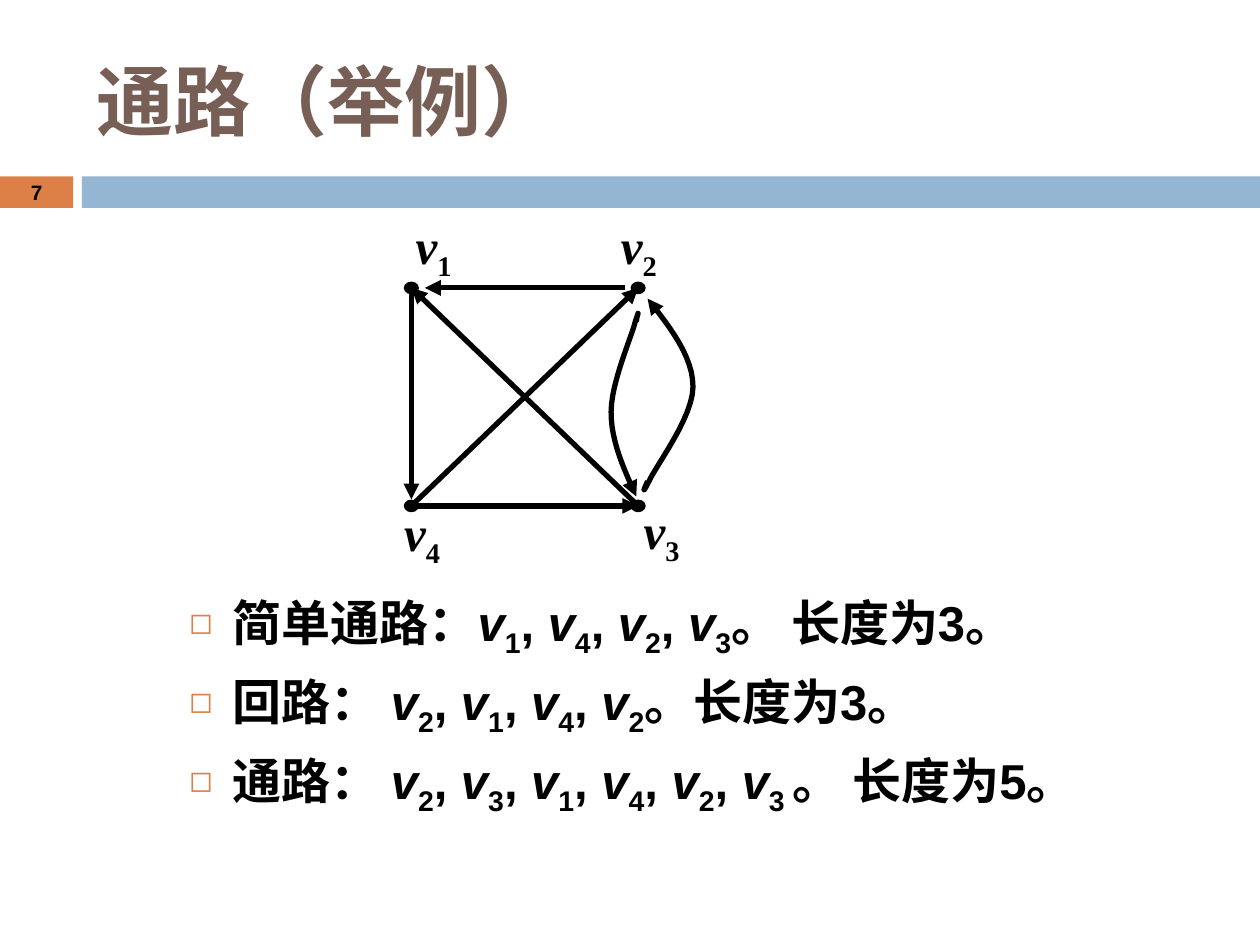
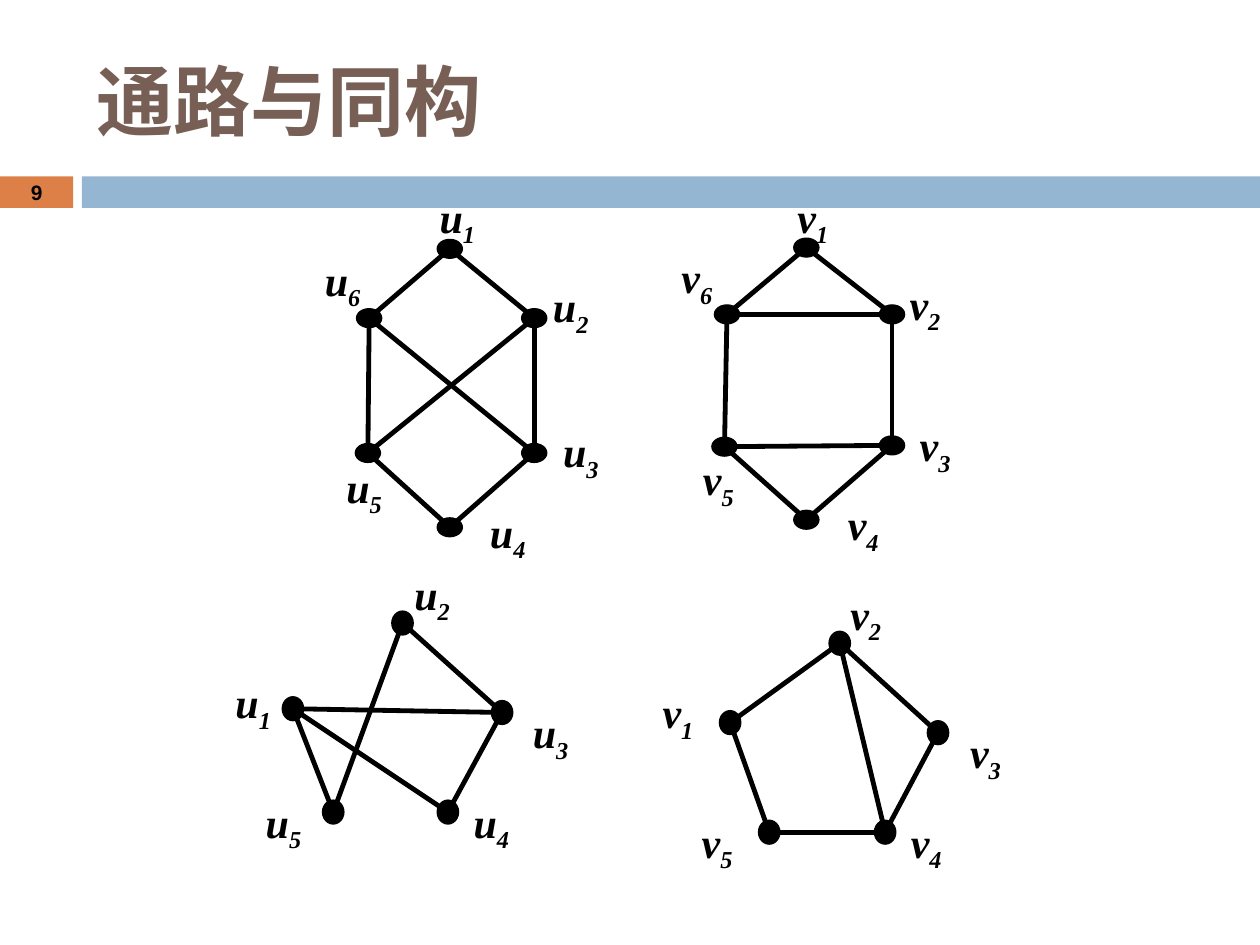
from pptx import Presentation
from pptx.dml.color import RGBColor
from pptx.enum.shapes import MSO_CONNECTOR, MSO_SHAPE
from pptx.enum.text import MSO_ANCHOR, PP_ALIGN
from pptx.oxml.ns import qn
from pptx.util import Inches, Pt
from lxml import etree

ORANGE = RGBColor(0xDD, 0x80, 0x47)
BLUE = RGBColor(0x94, 0xB6, 0xD2)
BROWN = RGBColor(0x77, 0x5F, 0x55)
BLACK = RGBColor(0, 0, 0)
SERIF, SANS, HEADING = "Times New Roman", "Arial", "Calibri"

prs = Presentation()
prs.slide_width, prs.slide_height = Inches(10), Inches(7.5)

# Grid: 100 columns by 75 rows
COL = prs.slide_width / 100
ROW = prs.slide_height / 75


def add_box(s, x, y, w, h, anchor=MSO_ANCHOR.TOP):
    box = s.shapes.add_textbox(int(x * COL), int(y * ROW), int(w * COL), int(h * ROW))
    tf = box.text_frame
    tf.word_wrap = True
    tf.vertical_anchor = anchor
    return tf


def add_run(p, text, size, font, color=BLACK, italic=False, sub=False):
    r = p.add_run()
    r.text = text
    r.font.size, r.font.name = Pt(size), font
    r.font.bold, r.font.italic = True, italic
    r.font.color.rgb = color
    if sub:
        r._r.get_or_add_rPr().set("baseline", "-25000")


# Shared frame: bands, page number, title
slides = []
for number, title in (("7", "通路（举例）"), ("9", "通路与同构")):
    s = prs.slides.add_slide(prs.slide_layouts[6])
    slides.append(s)
    for x, w, color in ((0, 5.8, ORANGE), (6.5, 93.5, BLUE)):
        band = s.shapes.add_shape(MSO_SHAPE.RECTANGLE, int(x * COL), int(14 * ROW),
                                  int(w * COL), int(2.5 * ROW))
        band.shadow.inherit = False
        band.fill.solid()
        band.fill.fore_color.rgb = color
        band.line.fill.background()
    p = add_box(s, 0, 13.9, 5.8, 2.7, MSO_ANCHOR.MIDDLE).paragraphs[0]
    p.alignment = PP_ALIGN.CENTER
    add_run(p, number, 11.9, SANS)
    p = add_box(s, 6.7, 2.5, 89.2, 10.8, MSO_ANCHOR.MIDDLE).paragraphs[0]
    add_run(p, title, 44, HEADING, BROWN)

# Graphs: each vertex is (centre x, centre y, label x, label y)
directed = dict(
    slide=slides[0], letter="v", dot=(1.1, 0.9), size=28, width=3, arrow=True,
    vertices={"1": (32.65, 22.85, 32, 16.6), "2": (50.65, 22.85, 48.3, 16.6),
              "3": (50.65, 40.15, 50.1, 39.2), "4": (32.65, 40.15, 31.1, 39.4)},
    edges="21 31 42 14 43", trim={"21": 0.06, "14": 0.03})
crossed = dict(
    slide=slides[1], letter="u", dot=(2, 1.5), size=24, width=2.75, arrow=False,
    vertices={"1": (35.7, 19.75, 33.9, 14.7), "2": (42.4, 25.25, 42.9, 21.8),
              "3": (42.4, 35.95, 43.7, 33.3), "4": (35.7, 41.85, 37.9, 39.7),
              "5": (29.2, 35.95, 26.5, 36.1), "6": (29.3, 25.25, 24.8, 19.7)},
    edges="16 12 23 56 25 36 45 34")
prism = dict(
    crossed, letter="v",
    vertices={"1": (64, 19.65, 62.3, 14.7), "2": (70.8, 24.95, 71.2, 21.6),
              "3": (70.8, 35.35, 72, 32.8), "4": (64, 41.25, 66.3, 39.1),
              "5": (57.5, 35.45, 54.8, 35.5), "6": (57.7, 24.95, 53.1, 19.5)},
    edges="16 12 23 56 26 35 45 34")
star = dict(
    crossed, dot=(1.7, 1.9),
    vertices={"1": (23.25, 56.25, 17.7, 53.2), "2": (31.95, 49.45, 31.9, 44.6),
              "3": (39.85, 56.55, 41.3, 55.6), "4": (35.55, 64.45, 36.6, 62.7),
              "5": (26.45, 64.45, 20.1, 62.7)},
    edges="52 14 15 23 13 34")
pentagon = dict(
    star, letter="v",
    vertices={"1": (57.95, 57.35, 51.6, 54), "2": (66.65, 51.05, 66.5, 46.2),
              "3": (74.45, 58.15, 76, 57.2), "4": (70.25, 66.05, 71.3, 64.3),
              "5": (61.05, 66.05, 54.7, 64.3)},
    edges="54 15 23 12 34 24")

for g in (directed, crossed, prism, star, pentagon):
    s, vertices = g["slide"], g["vertices"]
    # Edges run from centre to centre, less a share trimmed at both ends
    for edge in g["edges"].split():
        (x1, y1), (x2, y2) = (vertices[name][:2] for name in edge)
        t = g.get("trim", {}).get(edge, 0)
        dx, dy = t * (x2 - x1), t * (y2 - y1)
        line = s.shapes.add_connector(
            MSO_CONNECTOR.STRAIGHT, int((x1 + dx) * COL), int((y1 + dy) * ROW),
            int((x2 - dx) * COL), int((y2 - dy) * ROW))
        line.line.width = Pt(g["width"])
        line.line.color.rgb = BLACK
        spPr = line._element.spPr
        if g["arrow"]:
            etree.SubElement(spPr.find(qn("a:ln")), qn("a:tailEnd"), type="triangle")
        etree.SubElement(spPr, qn("a:effectLst"))
    # Dots and labels
    w, h = g["dot"]
    for name, (x, y, label_x, label_y) in vertices.items():
        dot = s.shapes.add_shape(MSO_SHAPE.OVAL, int((x - w / 2) * COL),
                                 int((y - h / 2) * ROW), int(w * COL), int(h * ROW))
        dot.shadow.inherit = False
        dot.fill.solid()
        dot.fill.fore_color.rgb = BLACK
        dot.line.color.rgb = BLACK
        dot.line.width = Pt(0.75)
        p = add_box(s, label_x, label_y, 6.5, g["size"] / 5).paragraphs[0]
        add_run(p, g["letter"], g["size"], SERIF, italic=True)
        add_run(p, name, g["size"], SERIF, italic=not g["arrow"], sub=True)

# Curved arrows between v2 and v3: Bézier control points, tip first
s = slides[0]
STEPS = 12
curves = (
    [(51.4, 23.7), (53.2, 26), (55, 28.3), (55, 30.7), (55, 33.1),
     (52.1, 36.9), (51.5, 38.2), (50.9, 39.4), (51.1, 38.8), (51.4, 38.2)],
    [(50.5, 39.4), (49.5, 37.2), (48.5, 35), (48.5, 32.7), (48.5, 30.4),
     (50.1, 26.8), (50.4, 25.6), (50.8, 24.4), (50.6, 24.9), (50.5, 25.5)],
)
for points in curves:
    outline = []
    for i in range(0, len(points) - 1, 3):
        a, b, c, d = points[i:i + 4]
        for k in range(1, STEPS + 1):
            t = k / STEPS
            u = 1 - t
            x, y = (u**3 * a[j] + 3 * u * u * t * b[j] + 3 * u * t * t * c[j] + t**3 * d[j]
                    for j in (0, 1))
            outline.append((int(x * COL), int(y * ROW)))
    fb = s.shapes.build_freeform(int(points[0][0] * COL), int(points[0][1] * ROW))
    fb.add_line_segments(outline, close=False)
    curve = fb.convert_to_shape()
    curve.shadow.inherit = False
    curve.fill.background()
    curve.line.color.rgb = BLACK
    curve.line.width = Pt(3)
    ln = curve._element.spPr.find(qn("a:ln"))
    etree.SubElement(ln, qn("a:round"))
    etree.SubElement(ln, qn("a:headEnd"), type="triangle")

# Bulleted walks: lead, vertices passed, ending
walks = (
    ("简单通路：", ["1", "4", "2", "3"], "。 长度为3。"),
    ("回路： ", ["2", "1", "4", "2"], "。长度为3。"),
    ("通路： ", ["2", "3", "1", "4", "2", "3 "], "。 长度为5。"),
)
tf = add_box(s, 14, 46.5, 77.2, 21.3)
for n, (lead, passed, ending) in enumerate(walks):
    p = tf.add_paragraph() if n else tf.paragraphs[0]
    pPr = p._p.get_or_add_pPr()
    pPr.set("marL", str(Inches(0.35)))
    pPr.set("indent", str(-Inches(0.35)))
    color = etree.SubElement(pPr, qn("a:buClr"))
    etree.SubElement(color, qn("a:srgbClr"), val=str(ORANGE))
    etree.SubElement(pPr, qn("a:buSzPct"), val="60000")
    etree.SubElement(pPr, qn("a:buChar"), char="◻")
    if n:
        p.space_before = Pt(7)
    add_run(p, lead, 28, SANS)
    for i, name in enumerate(passed):
        if i:
            add_run(p, ", ", 28, SANS)
        add_run(p, "v", 28, SANS, italic=True)
        add_run(p, name, 28, SANS, sub=True)
    add_run(p, ending, 28, SANS)

prs.save("out.pptx")
